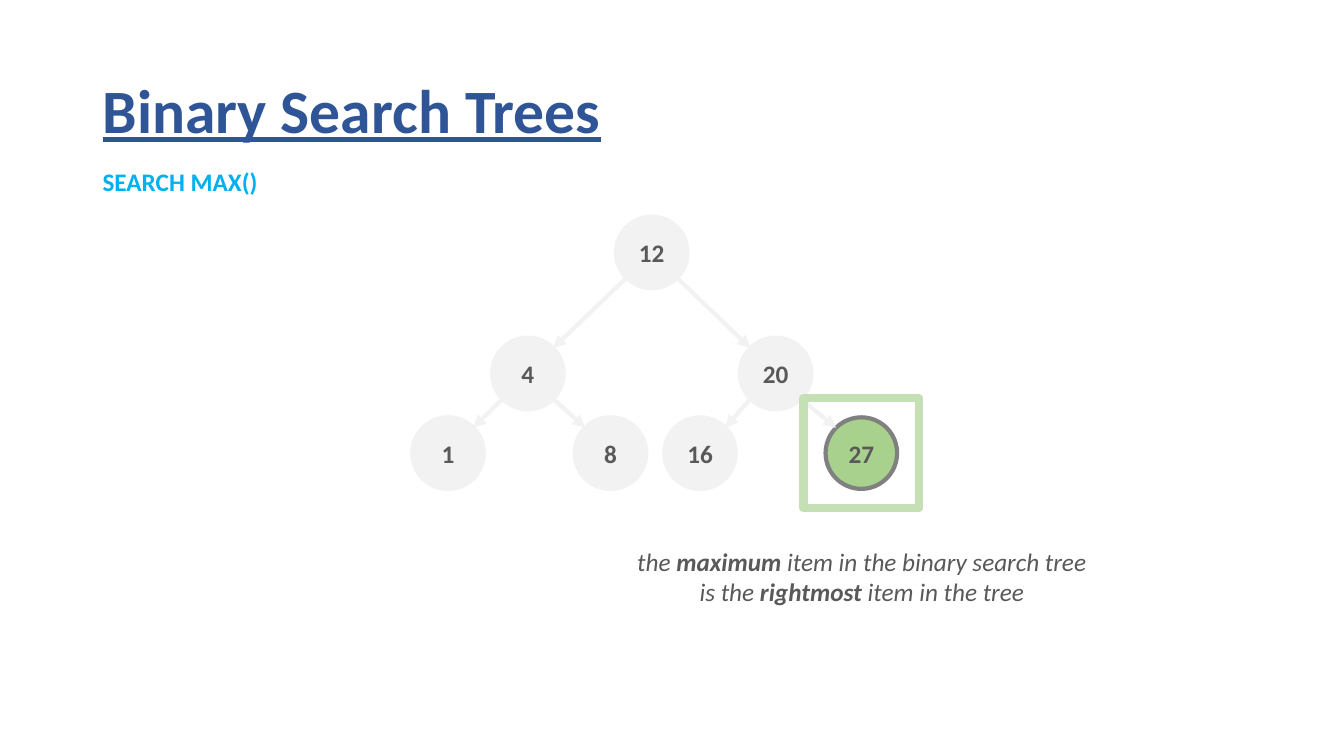
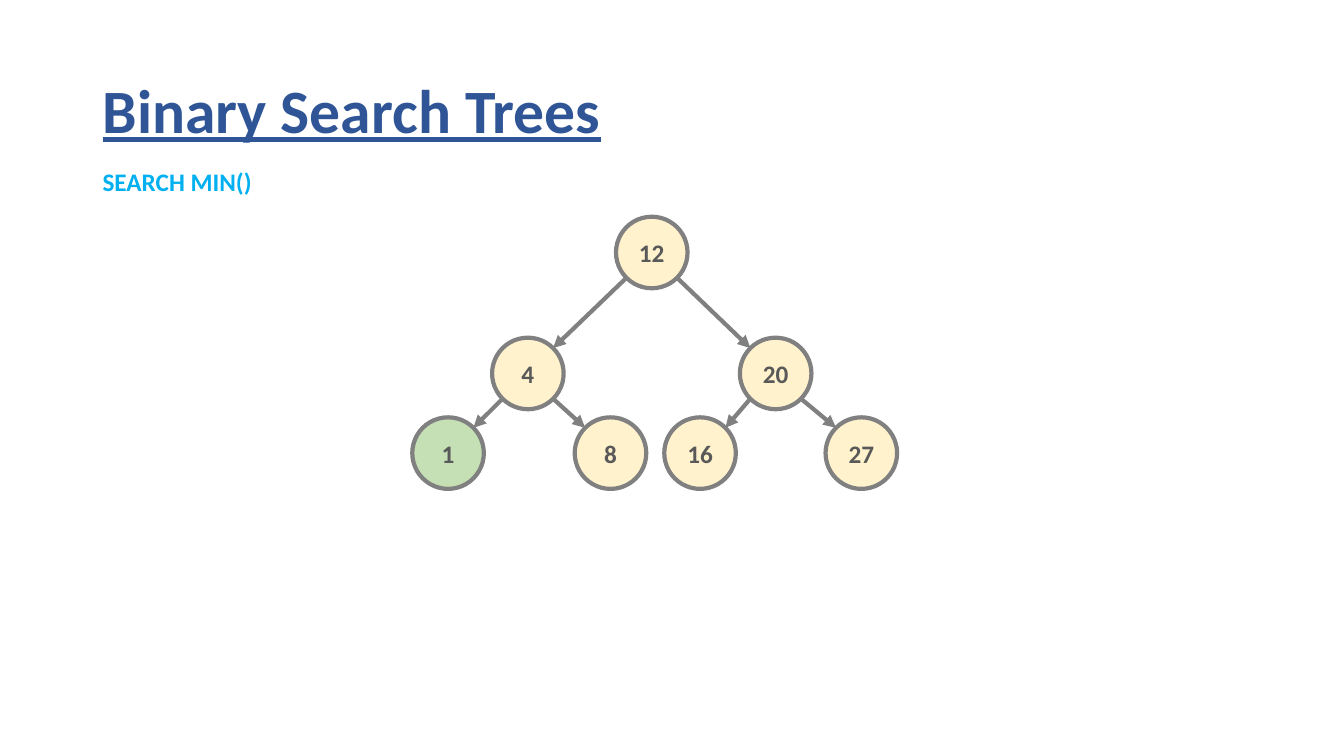
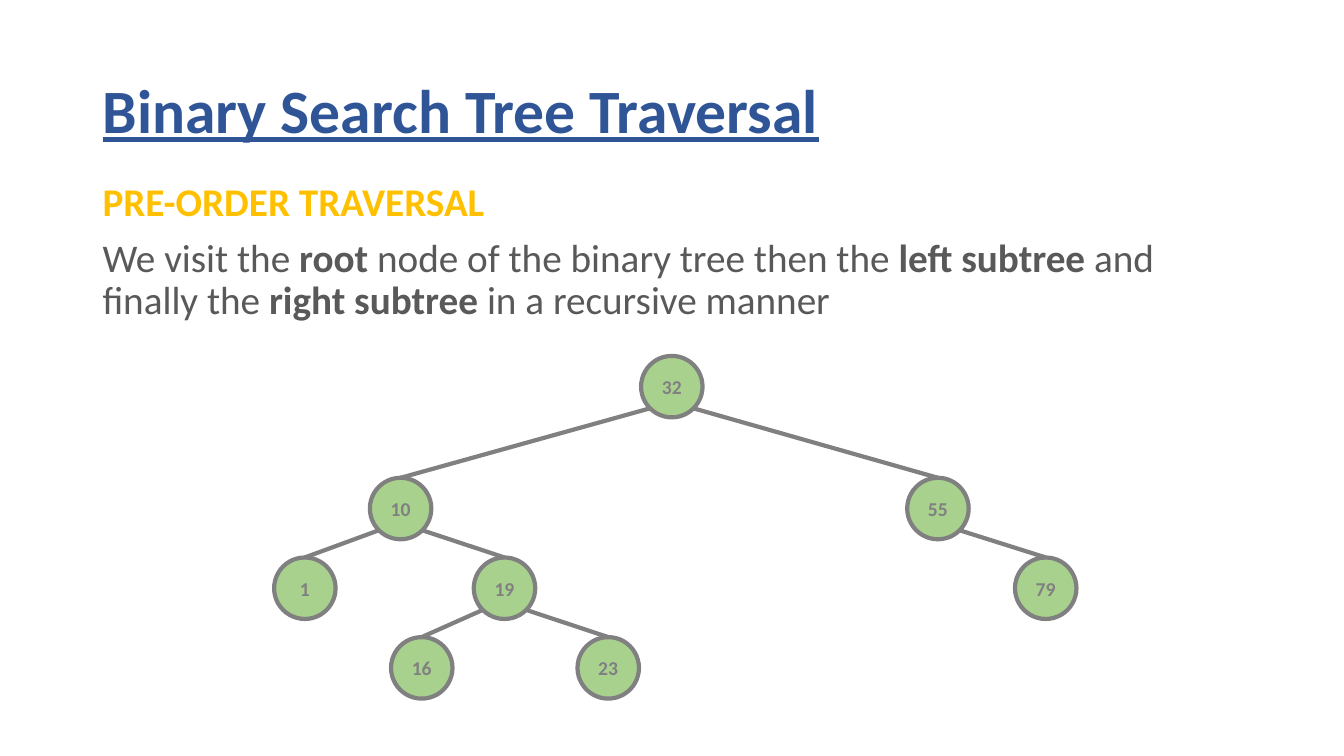
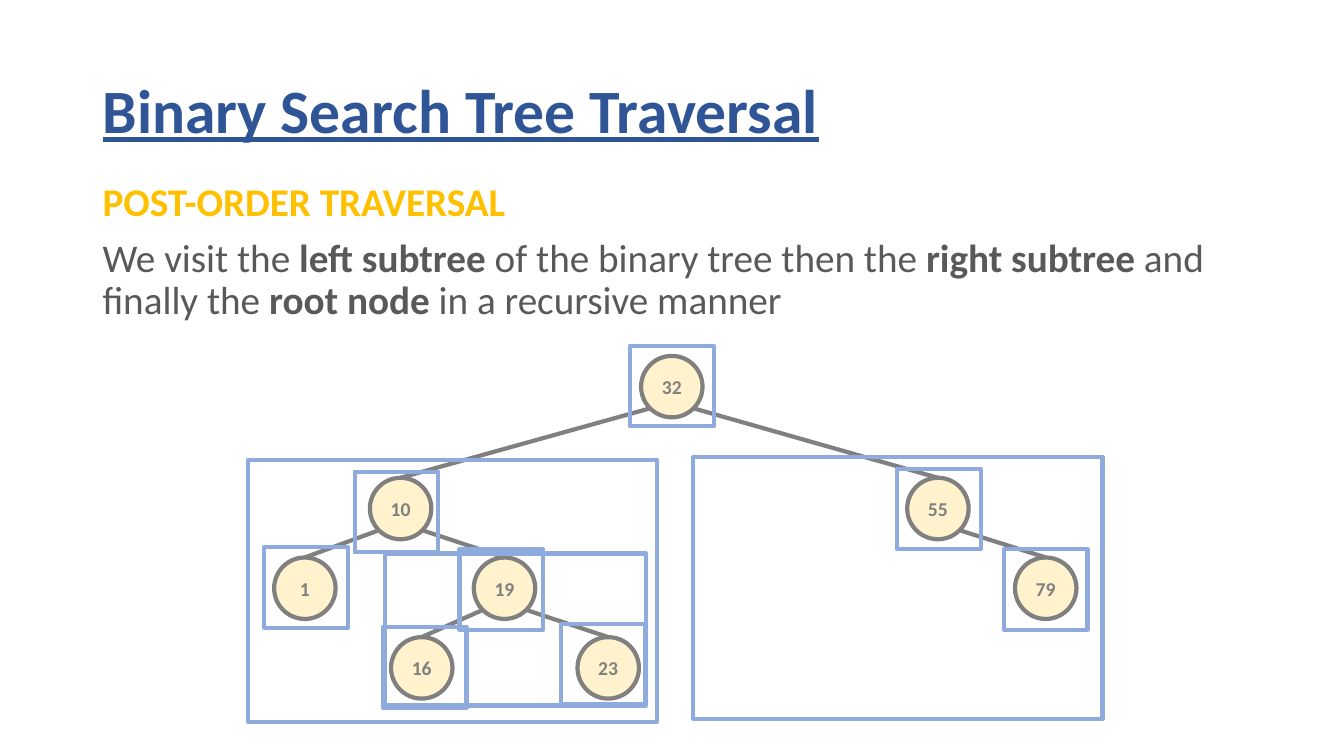
import pptx
import pptx.util
import pptx.dml.color
import pptx.enum.shapes
import pptx.enum.text
import pptx.oxml
import pptx.oxml.ns

Pt = pptx.util.Pt
SHAPE = pptx.enum.shapes.MSO_SHAPE
ALIGN = pptx.enum.text.PP_ALIGN
ANCHOR = pptx.enum.text.MSO_ANCHOR
FIT = pptx.enum.text.MSO_AUTO_SIZE

FONT = "Calibri"
BLUE, CYAN, GOLD = "2F5597", "00B0F0", "FFC000"
TEXT, GRAY, PALE = "595959", "808080", "F2F2F2"
CREAM, GREEN, MINT, SKY = "FFF2CC", "A9D18E", "C5E0B4", "8FAADC"
LEFT, WIDE = 66.2, 828  # text column
STROKE = 3
DIAG = 0.5 ** 0.5 / 2   # share of a circle's size from centre to its 45 degree point

# Trees: size of a node, its left and top within the tree's box, and the edges.
SEARCH = {
    "size": 51.1,
    "nodes": {"12": (145.5, 0), "4": (57, 86.4), "20": (234, 86.4),
              "1": (0, 143.3), "8": (116, 143.3), "16": (180, 143.3), "27": (295.2, 143.3)},
    "edges": [("12", "4"), ("12", "20"), ("4", "1"), ("4", "8"), ("20", "16"), ("20", "27")],
}
WALK = {
    "size": 43.9,
    "nodes": {"32": (262.1, 0), "55": (452.2, 87.1), "10": (68.4, 87.1),
              "19": (142.6, 144), "1": (0, 144), "16": (83.5, 200.9),
              "79": (529.2, 144), "23": (216.7, 200.9)},
    "edges": [("32", "55"), ("32", "10"), ("10", "19"), ("10", "1"),
              ("19", "16"), ("55", "79"), ("19", "23")],
}
SEARCH_AT = (294.5, 154.8)
WALK_AT = (195.8, 254.2)

# Frames on the post-order tree: subtrees within its box, then shifts from each node.
SUBTREES = [(-18.7, 74.2, 292.3, 187.2), (79.2, 141.1, 186.5, 108.7),
            (299.5, 72, 292.3, 187.2)]
SHIFTS = {"1": (-7.2, -7.2), "16": (-5.8, -7.2), "23": (-11.5, -9.4), "19": (-10.1, -5.8),
          "10": (-10.8, -4.3), "79": (-7.9, -5.8), "55": (-7.2, -6.5), "32": (-7.9, -7.2)}


def color(code):
    """Turn a hex string into a colour."""
    return pptx.dml.color.RGBColor.from_string(code)


def style(font, size, code, bold=None, italic=None):
    """Set the face, size and colour of a font."""
    font.name, font.size = FONT, Pt(size)
    font.color.rgb = color(code)
    font.bold, font.italic = bold, italic


def fill_para(para, text):
    """Add text to a paragraph, bold between double stars."""
    for i, part in enumerate(text.split("**")):
        if part:
            run = para.add_run()
            run.text = part
            if i % 2:
                run.font.bold = True


def add_text(slide, box, wrap=True):
    """Add an empty text box and return its frame."""
    frame = slide.shapes.add_textbox(*map(Pt, box)).text_frame
    frame.word_wrap = wrap
    return frame


def add_shape(slide, kind, box, line, width=STROKE, fill=None):
    """Add an outlined shape, filled if a colour is given."""
    shape = slide.shapes.add_shape(kind, *map(Pt, box))
    shape.shadow.inherit = False
    if fill:
        shape.fill.solid()
        shape.fill.fore_color.rgb = color(fill)
    else:
        shape.fill.background()
    shape.line.color.rgb = color(line)
    shape.line.width = Pt(width)
    return shape


def add_edge(slide, start, end, code, arrow):
    """Draw a straight edge, with an arrowhead if asked."""
    edge = slide.shapes.add_connector(
        pptx.enum.shapes.MSO_CONNECTOR.STRAIGHT, *map(Pt, (*start, *end)))
    edge.line.color.rgb = color(code)
    edge.line.width = Pt(STROKE)
    props = edge._element.spPr
    if arrow:
        head = pptx.oxml.parse_xml(
            "<a:tailEnd %s type='triangle'/>" % pptx.oxml.ns.nsdecls("a"))
        edge.line._get_or_add_ln().append(head)
    props.append(pptx.oxml.parse_xml("<a:effectLst %s/>" % pptx.oxml.ns.nsdecls("a")))


def add_node(slide, box, label, size, ink, fill, line):
    """Draw one labelled circle."""
    node = add_shape(slide, SHAPE.OVAL, box, line, fill=fill)
    frame = node.text_frame
    frame.vertical_anchor = ANCHOR.MIDDLE
    para = frame.paragraphs[0]
    para.text, para.alignment = label, ALIGN.CENTER
    style(para.font, size, ink, True)


def add_tree(slide, at, tree, size, ink, fill, line=GRAY, marks=None, arrow=False):
    """Draw a tree at a point; marks gives some nodes their own fill and line."""
    left, top = at
    side, nodes = tree["size"], tree["nodes"]
    for label, (x, y) in nodes.items():
        look = (marks or {}).get(label, (fill, line))
        add_node(slide, (left + x, top + y, side, side), label, size, ink, *look)
    mid, reach = side / 2, side * DIAG
    for upper, lower in tree["edges"]:
        (ax, ay), (bx, by) = nodes[upper], nodes[lower]
        turn = 1 if bx > ax else -1
        start = (left + ax + mid + turn * reach, top + ay + mid + reach)
        if arrow:
            end = (left + bx + mid - turn * reach, top + by + mid - reach)
        else:
            end = (left + bx + mid, top + by)
        add_edge(slide, start, end, line, arrow)


def add_slide(deck, text):
    """Add a slide with the shared title style."""
    slide = deck.slides.add_slide(deck.slide_layouts[5])
    title = slide.shapes.title
    title.left, title.top, title.width, title.height = map(Pt, (LEFT, 28.8, WIDE, 104.4))
    frame = title.text_frame
    frame.auto_size = FIT.NONE
    frame.vertical_anchor = ANCHOR.MIDDLE
    para = frame.paragraphs[0]
    para.text, para.alignment, para.line_spacing = text, ALIGN.LEFT, 0.9
    style(para.font, 44, BLUE, True)
    para.font.underline = True
    return slide


def search_slide(deck, head, **look):
    """Build a search slide: title, operation name and tree."""
    slide = add_slide(deck, "Binary Search Trees")
    para = add_text(slide, (LEFT, 115.2, 126, 28.8), False).paragraphs[0]
    para.text = head
    style(para.font, 18, CYAN, True)
    add_tree(slide, SEARCH_AT, SEARCH, 18, TEXT, arrow=True, **look)
    return slide


def walk_slide(deck, head, body, fill):
    """Build a traversal slide: title, explanation and tree."""
    slide = add_slide(deck, "Binary Search Tree Traversal")
    frame = add_text(slide, (LEFT, 126.7, WIDE, 110))
    first, second = frame.paragraphs[0], frame.add_paragraph()
    for para, text, code, bold in ((first, head, GOLD, True), (second, body, TEXT, None)):
        fill_para(para, text)
        para.line_spacing, para.space_before = 0.9, Pt(10)
        style(para.font, 28, code, bold)
    add_tree(slide, WALK_AT, WALK, 14, GRAY, fill)
    return slide


def add_note(slide, box, lines):
    """Add a centred italic remark."""
    frame = add_text(slide, box, False)
    for i, text in enumerate(lines):
        para = frame.add_paragraph() if i else frame.paragraphs[0]
        para.alignment = ALIGN.CENTER
        fill_para(para, text)
        style(para.font, 18, TEXT, italic=True)


def add_frames(slide, at):
    """Outline the subtrees and nodes of the traversal tree."""
    left, top = at
    boxes = list(SUBTREES)
    for label, (dx, dy) in SHIFTS.items():
        x, y = WALK["nodes"][label]
        boxes.append((x + dx, y + dy, 59.8, 57.6))
    for x, y, width, height in boxes:
        add_shape(slide, SHAPE.RECTANGLE, (left + x, top + y, width, height), SKY)


def main():
    """Build and save the deck."""
    deck = pptx.Presentation()
    deck.slide_width, deck.slide_height = Pt(960), Pt(540)

    slide = search_slide(deck, "SEARCH MAX()", fill=PALE, line=PALE,
                         marks={"27": (GREEN, GRAY)})
    add_shape(slide, SHAPE.RECTANGLE, (573.8, 284.4, 82.8, 78.5), MINT, 6)
    add_note(slide, (445.7, 386.6, 339.8, 51.1),
             ["the **maximum** item in the binary search tree",
              "is the **rightmost** item in the tree"])

    search_slide(deck, "SEARCH MIN()", fill=CREAM, marks={"1": (MINT, GRAY)})

    walk_slide(deck, "PRE-ORDER TRAVERSAL",
               "We visit the **root** node of the binary tree then the **left subtree **"
               "and finally the **right subtree **in a recursive manner", GREEN)

    slide = walk_slide(deck, "POST-ORDER TRAVERSAL",
                       "We visit the **left subtree** of the binary tree then the "
                       "**right subtree **and finally the **root node **"
                       "in a recursive manner", CREAM)
    add_frames(slide, WALK_AT)

    deck.save("out.pptx")


main()
